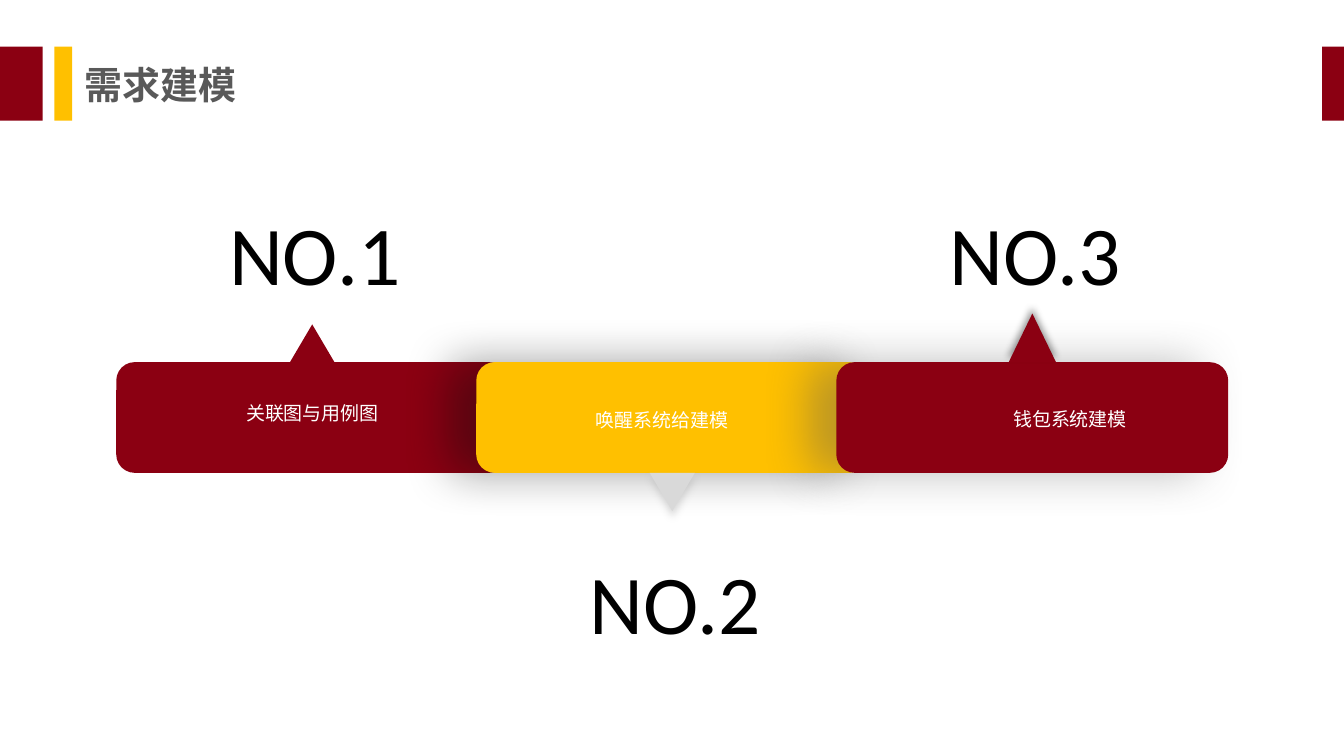
from lxml import etree
from pptx import Presentation
from pptx.dml.color import RGBColor
from pptx.enum import shapes, text
from pptx.oxml.ns import qn
from pptx.util import Pt

RED, GOLD, GREY = "8B0012", "FFC000", "D9D9D9"
SHAPE = shapes.MSO_SHAPE
SLIDE_W, SLIDE_H = 708.5, 396.7


def colour(value):
    return RGBColor.from_string(value)


def add_block(s, kind, x, y, w, h, fill, shadow=None):
    """Filled shape; shadow is (colour, blur, distance, direction)."""
    sp = s.shapes.add_shape(kind, Pt(x), Pt(y), Pt(w), Pt(h))
    sp.fill.solid()
    sp.fill.fore_color.rgb = colour(fill)
    sp.line.fill.background()
    sp.shadow.inherit = False
    if shadow:
        tint, blur, dist, angle = shadow
        effects = sp._element.spPr.find(qn("a:effectLst"))
        outer = etree.SubElement(
            effects, qn("a:outerShdw"), blurRad=str(Pt(blur)),
            dist=str(Pt(dist)), dir=str(angle * 60000), rotWithShape="0")
        clr = etree.SubElement(outer, qn("a:srgbClr"), val=tint)
        etree.SubElement(clr, qn("a:alpha"), val="40000")
    return sp


def set_font(p, name, size, fill, bold=False):
    p.font.name, p.font.size, p.font.bold = name, Pt(size), bold
    p.font.color.rgb = colour(fill)
    ea = etree.SubElement(p._p.pPr.find(qn("a:defRPr")), qn("a:ea"))
    ea.set("typeface", "Noto Sans CJK SC")


def add_label(s, x, y, w, h, words, font, size, fill):
    sp = s.shapes.add_textbox(Pt(x), Pt(y), Pt(w), Pt(h))
    tf = sp.text_frame
    tf.word_wrap = False
    p = tf.paragraphs[0]
    p.text = words
    p.alignment = text.PP_ALIGN.CENTER
    set_font(p, font, size, fill)


def add_header(s, x, y, w, h, words):
    # Colour blocks at both slide edges
    for left, width, fill in ((0, 22.5, RED), (28.6, 9.5, GOLD), (w - 11.5, 11.5, RED)):
        add_block(s, SHAPE.RECTANGLE, x + left, y, width, h, fill)

    # Title
    title = s.shapes.title
    title.left, title.top, title.width, title.height = Pt(x + 44.6), Pt(y + 7.7), Pt(127.5), Pt(24.5)
    tf = title.text_frame
    tf.margin_left = tf.margin_top = tf.margin_right = tf.margin_bottom = 0
    tf.vertical_anchor = text.MSO_ANCHOR.MIDDLE
    tf.auto_size = text.MSO_AUTO_SIZE.NONE
    p = tf.paragraphs[0]
    p.text = words
    p.alignment = text.PP_ALIGN.LEFT
    set_font(p, "Calibri", 20, "595959", True)


def add_steps(s, x, y, w, h, step):
    # label, label offset from bar centre and top, fill, bar shadow,
    # pointer width, height, fill and shadow, pointing down
    steps = [
        ("关联图与用例图", 0, 17.3, RED, None, 23.8, 20.2, RED, None, False),
        ("唤醒系统给建模", -5.4, 20.9, GOLD, ("0D0D0D", 24, 15, 180),
         23.8, 20.2, GREY, ("A6A6A6", 4, 3, 90), True),
        ("钱包系统建模", 19.8, 20.2, RED, ("595959", 24, 15, 180),
         25.2, 25.9, RED, ("000000", 4, 3, 270), False),
    ]

    # Overlapping bars
    for i, (_, _, _, fill, shadow, *_) in enumerate(steps):
        add_block(s, SHAPE.ROUNDED_RECTANGLE, x + i * step, y, w, h, fill, shadow)

    # Pointers, numbers and labels
    for i, (words, dx, dy, _, _, tip_w, tip_h, fill, shadow, down) in enumerate(steps):
        centre = x + i * step + w / 2
        tip_y = y + h if down else y - tip_h + 0.3
        tip = add_block(s, SHAPE.ISOSCELES_TRIANGLE, centre - tip_w / 2, tip_y,
                        tip_w, tip_h, fill, shadow)
        if down:
            tip._element.spPr.find(qn("a:xfrm")).set("flipV", "1")
        number_y = y + 95.8 if down else y - 87.8
        add_label(s, centre - 51.5, number_y, 105.8, 60.5, f"NO.{i + 1}", "Calibri", 44, "000000")
        add_label(s, centre + dx - 42.5, y + dy, 85, 19.4, words, "Noto Sans CJK SC", 10, "FFFFFF")


def main():
    prs = Presentation()
    prs.slide_width, prs.slide_height = Pt(SLIDE_W), Pt(SLIDE_H)
    s = prs.slides.add_slide(prs.slide_layouts[5])
    add_header(s, 0, 24.6, SLIDE_W, 39, "需求建模")
    add_steps(s, 61.3, 190.8, 206.6, 58.3, 189.8)
    prs.save("out.pptx")


if __name__ == "__main__":
    main()
